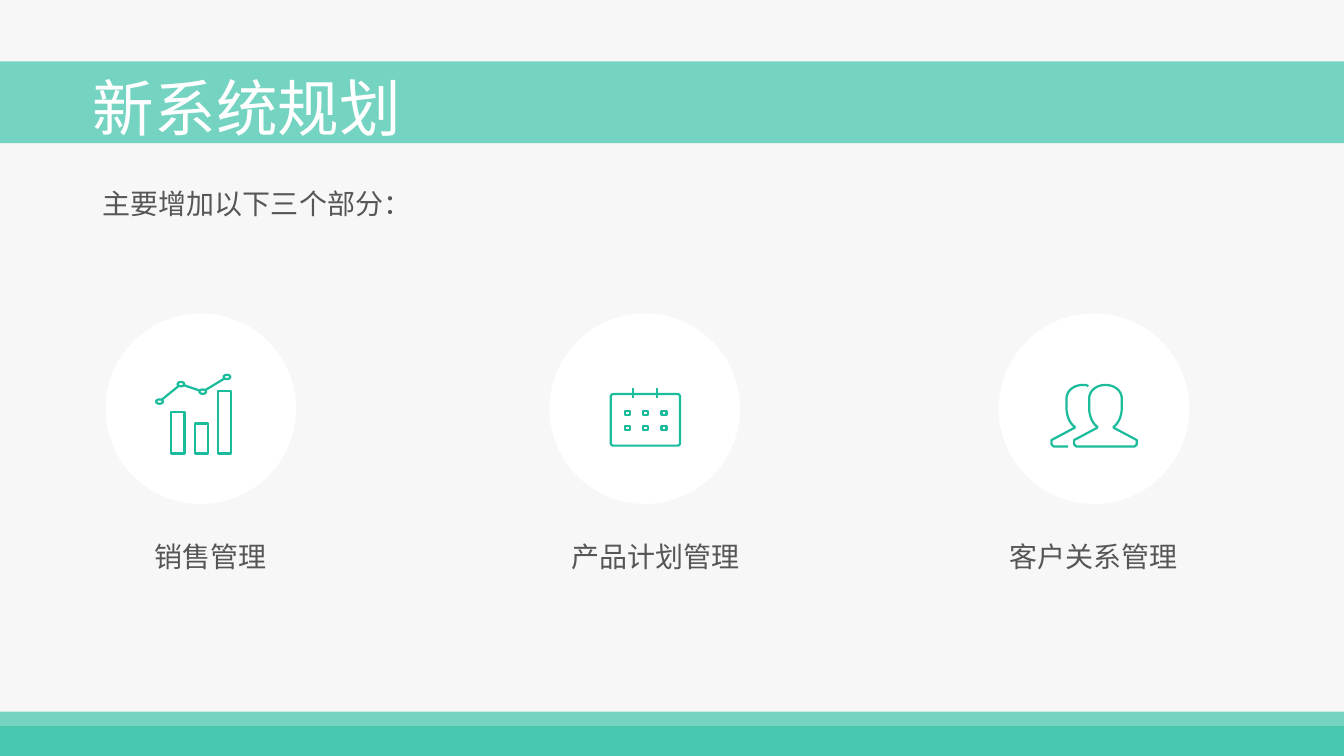
"""Build the slide that presents the three parts of the new system plan."""
import pptx
import pptx.dml.color
import pptx.enum.shapes
import pptx.enum.text
import pptx.oxml
import pptx.util
from pptx.util import Cm

SHAPE = pptx.enum.shapes.MSO_SHAPE
ALIGN = pptx.enum.text.PP_ALIGN
WIDTH, HEIGHT = 33.87, 19.05
MINT, TEAL, ICON = "74D3C1", "47C8AF", "1ABC9C"
WHITE, GREY, PAPER = "FFFFFF", "565656", "F7F7F7"
STROKE = 1.6

TITLE = "新系统规划"
INTRO = "主要增加以下三个部分："
SECTIONS = [
    ("销售管理", 2.66, 2.62),
    ("产品计划管理", 13.85, 13.85),
    ("客户关系管理", 25.17, 24.87),
]
CIRCLE_TOP, CIRCLE_SIZE, LABEL_TOP = 7.9, 4.8, 13.56

BAR_LEFT, BAR_BOTTOM, BAR_STEP, BAR_WIDTH = 4.32, 11.43, 0.59, 0.33
BAR_HEIGHTS = [1.04, 0.76, 1.57]
TREND = [(4.02, 10.12), (4.56, 9.68), (5.11, 9.87), (5.72, 9.5)]
DOT_WIDTH, DOT_HEIGHT = 0.17, 0.11

CALENDAR = (15.39, 9.93, 1.75, 1.3)
RINGS = [15.96, 16.56]
DAY_LEFT, DAY_TOP, DAY_STEP, WEEK_STEP = 15.75, 10.36, 0.46, 0.37

FRONT_CENTRE, BACK_CENTRE = 27.86, 27.29
CROWN_CURVE = [(0, 9.7), (-0.18, 9.7), (-0.38, 9.8), (-0.41, 10.01)]
CHEEK_CURVE = [(-0.41, 10.31), (-0.41, 10.31), (-0.41, 10.62), (-0.19, 10.77)]
SHOULDER = [(-0.19, 10.77), (-0.79, 11.09), (-0.79, 11.2), (-0.74, 11.25)]
BACK_CROWN = [(0.14, 9.73), (0.07, 9.7)]
BACK_BASE = [(-0.37, 11.25)]


def colour(value):
    return pptx.dml.color.RGBColor.from_string(value)


def style(shape, fill=None, line=None):
    shape.shadow.inherit = False
    if fill:
        shape.fill.solid()
        shape.fill.fore_color.rgb = colour(fill)
    else:
        shape.fill.background()
    if line:
        shape.line.color.rgb = colour(line)
        shape.line.width = pptx.util.Pt(STROKE)
    else:
        shape.line.fill.background()
    return shape


def add_shape(shapes, kind, left, top, width, height, fill=None, line=None):
    shape = shapes.add_shape(kind, Cm(left), Cm(top), Cm(width), Cm(height))
    return style(shape, fill, line)


def add_line(shapes, start, end):
    ends = [Cm(value) for value in (*start, *end)]
    line = shapes.add_connector(pptx.enum.shapes.MSO_CONNECTOR.STRAIGHT, *ends)
    line.line.color.rgb = colour(ICON)
    line.line.width = pptx.util.Pt(STROKE)
    effects = '<a:effectLst xmlns:a="http://schemas.openxmlformats.org/drawingml/2006/main"/>'
    line.element.spPr.append(pptx.oxml.parse_xml(effects))


def add_outline(shapes, centre, points):
    corners = [(Cm(centre + x), Cm(y)) for x, y in points]
    builder = shapes.build_freeform(*corners[0], scale=1.0)
    builder.add_line_segments(corners[1:], close=False)
    style(builder.convert_to_shape(), line=ICON)


def write(box, place, text, size, font, ink, align, spacing, before=0):
    box.left, box.top, box.width, box.height = [Cm(value) for value in place]
    frame = box.text_frame
    frame.text = text
    frame.word_wrap = True
    frame.auto_size = pptx.enum.text.MSO_AUTO_SIZE.SHAPE_TO_FIT_TEXT
    frame.vertical_anchor = pptx.enum.text.MSO_ANCHOR.TOP
    frame.margin_left, frame.margin_right = 0, Cm(0.25)
    frame.margin_top = frame.margin_bottom = Cm(0.13)
    para = frame.paragraphs[0]
    para.alignment = align
    para.line_spacing = spacing
    para.space_before = pptx.util.Pt(before)
    span = para.runs[0]
    span.font.size = pptx.util.Pt(size)
    span.font.name = font
    span.font.color.rgb = colour(ink)


def add_text(shapes, place, *details):
    box = shapes.add_textbox(*[Cm(value) for value in place])
    write(box, place, *details)


def curve(points, steps=10):
    a, b, c, d = points
    weights = []
    for step in range(steps + 1):
        t = step / steps
        u = 1 - t
        weights.append((u ** 3, 3 * u * u * t, 3 * u * t * t, t ** 3))
    return [
        tuple(i * a[n] + j * b[n] + k * c[n] + m * d[n] for n in (0, 1))
        for i, j, k, m in weights
    ]


def mirror(points):
    return [(-x, y) for x, y in reversed(points)]


def draw_sales(shapes):
    for index, height in enumerate(BAR_HEIGHTS):
        add_shape(shapes, SHAPE.RECTANGLE, BAR_LEFT + index * BAR_STEP,
                  BAR_BOTTOM - height, BAR_WIDTH, height, line=ICON)
    for start, end in zip(TREND, TREND[1:]):
        add_line(shapes, start, end)
    for x, y in TREND:
        add_shape(shapes, SHAPE.OVAL, x - DOT_WIDTH / 2, y - DOT_HEIGHT / 2,
                  DOT_WIDTH, DOT_HEIGHT, WHITE, ICON)


def draw_calendar(shapes):
    sheet = add_shape(shapes, SHAPE.ROUNDED_RECTANGLE, *CALENDAR, line=ICON)
    sheet.adjustments[0] = 0.05
    for x in RINGS:
        add_line(shapes, (x, 9.78), (x, 10.03))
    for row in range(2):
        for column in range(3):
            add_shape(shapes, SHAPE.RECTANGLE, DAY_LEFT + column * DAY_STEP,
                      DAY_TOP + row * WEEK_STEP, 0.13, 0.1, line=ICON)


def draw_people(shapes):
    half_head = curve(CROWN_CURVE) + curve(CHEEK_CURVE)
    add_outline(shapes, FRONT_CENTRE, SHOULDER + mirror(SHOULDER))
    add_outline(shapes, FRONT_CENTRE, mirror(half_head) + half_head[1:])
    add_outline(shapes, BACK_CENTRE, SHOULDER + BACK_BASE)
    add_outline(shapes, BACK_CENTRE, BACK_CROWN + half_head)


def main():
    deck = pptx.Presentation()
    deck.slide_width, deck.slide_height = Cm(WIDTH), Cm(HEIGHT)
    page = deck.slides.add_slide(deck.slide_layouts[5])
    page.background.fill.solid()
    page.background.fill.fore_color.rgb = colour(PAPER)
    shapes = page.shapes

    band = add_shape(shapes, SHAPE.RECTANGLE, 0, 1.55, WIDTH, 2.06, MINT)
    title = shapes.title
    title.element.addprevious(band.element)
    write(title, (2.34, 1.83, 12.45, 1.96), TITLE, 44, "Cabin", WHITE, ALIGN.LEFT, 0.9, 10)
    add_text(shapes, (2.59, 4.39, 22.4, 1.27), INTRO, 20, "Cabin", GREY, ALIGN.LEFT, 1.2)
    add_shape(shapes, SHAPE.RECTANGLE, 0, 18.29, WIDTH, 0.76, TEAL)
    add_shape(shapes, SHAPE.RECTANGLE, 0, 17.93, WIDTH, 0.36, MINT)

    icons = [draw_sales, draw_calendar, draw_people]
    for (label, circle_left, label_left), draw_icon in zip(SECTIONS, icons):
        add_shape(shapes, SHAPE.OVAL, circle_left, CIRCLE_TOP, CIRCLE_SIZE, CIRCLE_SIZE, WHITE)
        add_text(shapes, (label_left, LABEL_TOP, 5.61, 1.02),
                 label, 20, "Arial", GREY, ALIGN.CENTER, 0.9)
        draw_icon(shapes.add_group_shape().shapes)
    deck.save("out.pptx")


if __name__ == "__main__":
    main()
